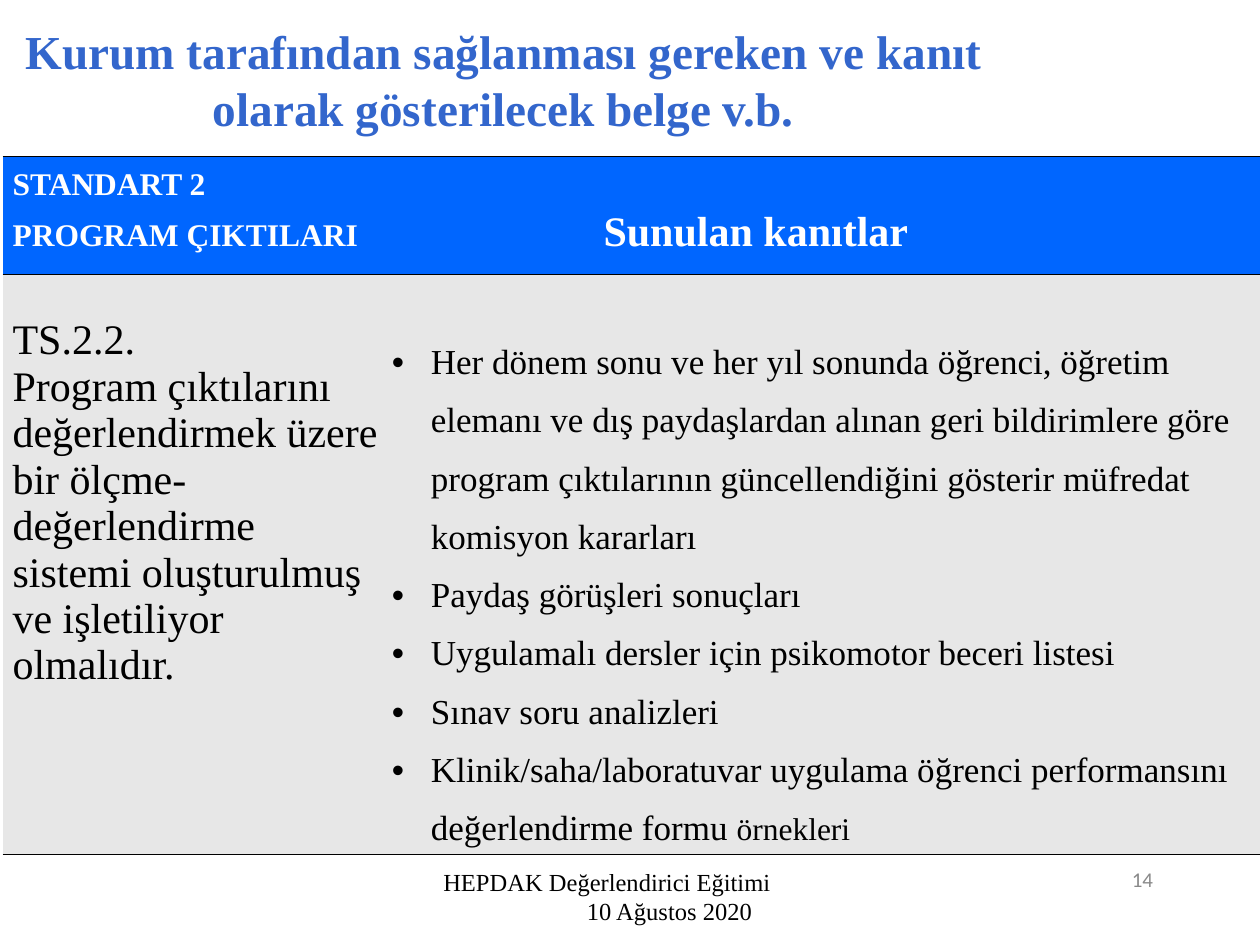
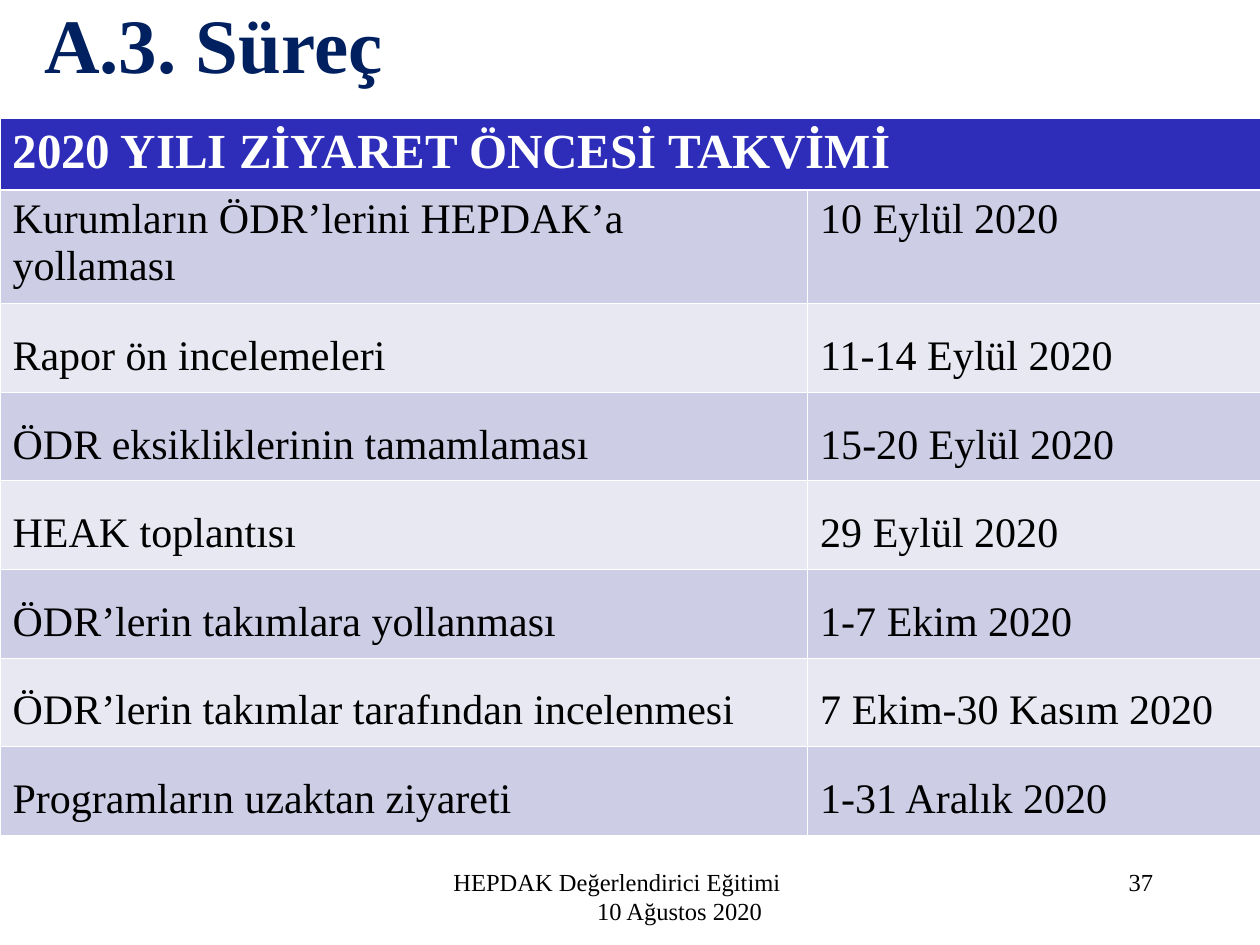
from lxml import etree
from pptx import Presentation
from pptx import util as u
from pptx.dml import color
from pptx.enum import text
from pptx.oxml import ns

hue = color.RGBColor.from_string
deck = Presentation()
deck.slide_width, deck.slide_height = u.Inches(10), u.Inches(7.5)
unit = deck.slide_width / 100
SERIF = "Times New Roman"
BLACK, WHITE = "000000", "FFFFFF"
LEFT, MID, RIGHT = text.PP_ALIGN.LEFT, text.PP_ALIGN.CENTER, text.PP_ALIGN.RIGHT
TOP, CORE, BASE = text.MSO_ANCHOR.TOP, text.MSO_ANCHOR.MIDDLE, text.MSO_ANCHOR.BOTTOM


def write(frame, lines, size, tint, face=SERIF, bold=False, dot=False, **form):
    frame.word_wrap = True
    for i, line in enumerate(lines):
        para = frame.paragraphs[0] if i == 0 else frame.add_paragraph()
        if dot:
            props = para._p.get_or_add_pPr()
            props.set("marL", str(int(3.1 * unit)))
            props.set("indent", str(int(-3.1 * unit)))
            etree.SubElement(props, ns.qn("a:buFont"), typeface="Arial")
            etree.SubElement(props, ns.qn("a:buChar"), char="•")
        for key, val in form.items():
            setattr(para, key, val)
        for words, pt in line if isinstance(line, list) else [(line, size)]:
            run = para.add_run()
            run.text = words
            look = {"size": u.Pt(pt), "name": face, "bold": bold}
            for key, val in look.items():
                setattr(run.font, key, val)
            run.font.color.rgb = hue(tint)


def paint(cell, fill, edges, pads, anchor=TOP):
    cell.fill.solid()
    cell.fill.fore_color.rgb = hue(fill)
    cell.vertical_anchor = anchor
    for side, pad in zip(("left", "top", "right", "bottom"), pads):
        setattr(cell, "margin_" + side, int(pad * unit))
    props = cell._tc.get_or_add_tcPr()
    for i, side in enumerate("LRTB"):
        tint, pt = edges.get(side, (None, 0))
        line = etree.Element(ns.qn("a:ln" + side), w=str(u.Pt(pt)))
        if tint:
            solid = etree.SubElement(line, ns.qn("a:solidFill"))
            etree.SubElement(solid, ns.qn("a:srgbClr"), val=tint)
        else:
            etree.SubElement(line, ns.qn("a:noFill"))
        props.insert(i, line)


pages = [
    {"title": "Kurum tarafından sağlanması gereken ve kanıt olarak gösterilecek belge v.b.",
     "box": (0, 0, 79.9, 12.5), "head": {"size": 27, "tint": "3366CC", "alignment": MID},
     "foot": 34.2, "page": "14", "mark": {"size": 12, "tint": "898989", "face": "Calibri"},
     "grid": (0.2, 12.4), "cols": [30.1, 69.7], "rows": [9.4, 45.6]},
    {"title": "A.3. Süreç",
     "box": (2.5, 1.7, 85, 3.3), "head": {"size": 44, "tint": "002060", "alignment": LEFT},
     "foot": 35, "page": "37", "mark": {"size": 14, "tint": BLACK},
     "grid": (0, 9.4), "cols": [64.1, 35.9], "rows": [5.7, 9] + [7.03] * 6},
]

tables = []
for page in pages:
    slide = deck.slides.add_slide(deck.slide_layouts[5])
    title = slide.shapes.title
    for key, val in zip(("left", "top", "width", "height"), page["box"]):
        setattr(title, key, int(val * unit))
    title.text_frame.auto_size = text.MSO_AUTO_SIZE.NONE
    title.text_frame.vertical_anchor = CORE
    write(title.text_frame, [page["title"]], bold=True, **page["head"])

    foot, mark = [slide.shapes.add_textbox(*(int(n * unit) for n in (x, 68.3, w, 5)))
                  for x, w in ((page["foot"], 31.7), (71.7, 20.8))]
    write(foot.text_frame, ["HEPDAK Değerlendirici Eğitimi", "10 Ağustos 2020"], 14, BLACK)
    foot.text_frame.paragraphs[1]._p.get_or_add_pPr().set("marL", str(int(11.4 * unit)))
    write(mark.text_frame, [page["page"]], alignment=RIGHT, **page["mark"])

    cols, rows = page["cols"], page["rows"]
    spot = (*page["grid"], sum(cols), sum(rows))
    table = slide.shapes.add_table(len(rows), 2, *(int(n * unit) for n in spot)).table
    table.first_row = table.horz_banding = False
    for col, wide in zip(table.columns, cols):
        col.width = int(wide * unit)
    for row, high in zip(table.rows, rows):
        row.height = int(high * unit)
    table.cell(0, 0).merge(table.cell(0, 1))
    tables.append(table)

proof, dates = tables
rule = dict.fromkeys("TB", (BLACK, 0.96))
pads = (0.8, 0.5, 0.3, 0.5)
for i in range(2):
    paint(proof.cell(0, i), "0066FF", rule, pads)
paint(proof.cell(1, 0), "E7E7E7", rule, (0.8, 3.4, 0.3, 0.5))
paint(proof.cell(1, 1), "E7E7E7", rule, pads, BASE)

band = proof.cell(0, 0).text_frame
write(band, ["STANDART 2", [("PROGRAM ÇIKTILARI\t", 18), ("Sunulan kanıtlar", 24)]],
      18, WHITE, bold=True, line_spacing=1.15)
tabs = etree.SubElement(band.paragraphs[1]._p.get_or_add_pPr(), ns.qn("a:tabLst"))
etree.SubElement(tabs, ns.qn("a:tab"), pos=str(int(46.9 * unit)), algn="l")
write(proof.cell(1, 0).text_frame, [
    "TS.2.2.",
    "Program çıktılarını değerlendirmek üzere bir ölçme-değerlendirme sistemi "
    "oluşturulmuş ve işletiliyor olmalıdır."], 24, BLACK)
write(proof.cell(1, 1).text_frame, [
    "Her dönem sonu ve her yıl sonunda öğrenci, öğretim elemanı ve dış paydaşlardan "
    "alınan geri bildirimlere göre program çıktılarının güncellendiğini gösterir "
    "müfredat komisyon kararları",
    "Paydaş görüşleri sonuçları",
    "Uygulamalı dersler için psikomotor beceri listesi",
    "Sınav soru analizleri",
    [("Klinik/saha/laboratuvar uygulama öğrenci performansını değerlendirme formu ", 20),
     ("örnekleri", 18)]], 20, BLACK, dot=True, line_spacing=1.5)

steps = [
    ("Kurumların ÖDR’lerini HEPDAK’a yollaması", "10 Eylül 2020"),
    ("Rapor ön incelemeleri", "11-14 Eylül 2020"),
    ("ÖDR eksikliklerinin tamamlaması", "15-20 Eylül 2020"),
    ("HEAK toplantısı", "29 Eylül 2020"),
    ("ÖDR’lerin takımlara yollanması", "1-7 Ekim 2020"),
    ("ÖDR’lerin takımlar tarafından incelenmesi", "7 Ekim-30 Kasım 2020"),
    ("Programların uzaktan ziyareti", "1-31 Aralık 2020"),
]
thin = dict.fromkeys("LRTB", (WHITE, 0.45))
thick = (WHITE, 1.47)
pads = (1, 0.5, 1, 0.5)
for i in range(2):
    paint(dates.cell(0, i), "2D2DB9", {**thin, "B": thick}, pads)
write(dates.cell(0, 0).text_frame, ["2020 YILI ZİYARET ÖNCESİ TAKVİMİ"], 28, WHITE, bold=True)
for r, step in enumerate(steps, 1):
    for c, words in enumerate(step):
        cell = dates.cell(r, c)
        paint(cell, "CDCDE6" if r % 2 else "E8E8F3", {**thin, "T": thick} if r == 1 else thin, pads)
        write(cell.text_frame, [words], 24, BLACK, line_spacing=1.0 if r == 1 else 1.5)

deck.save("out.pptx")
